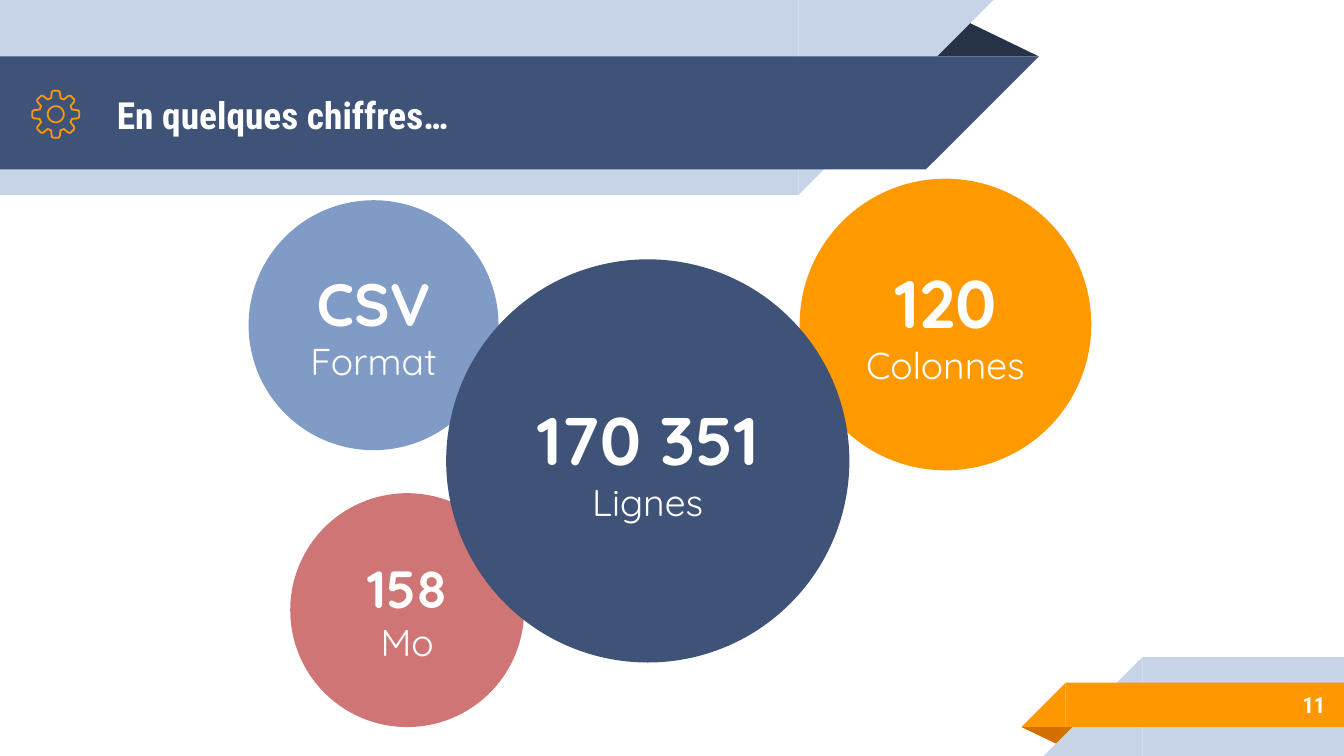
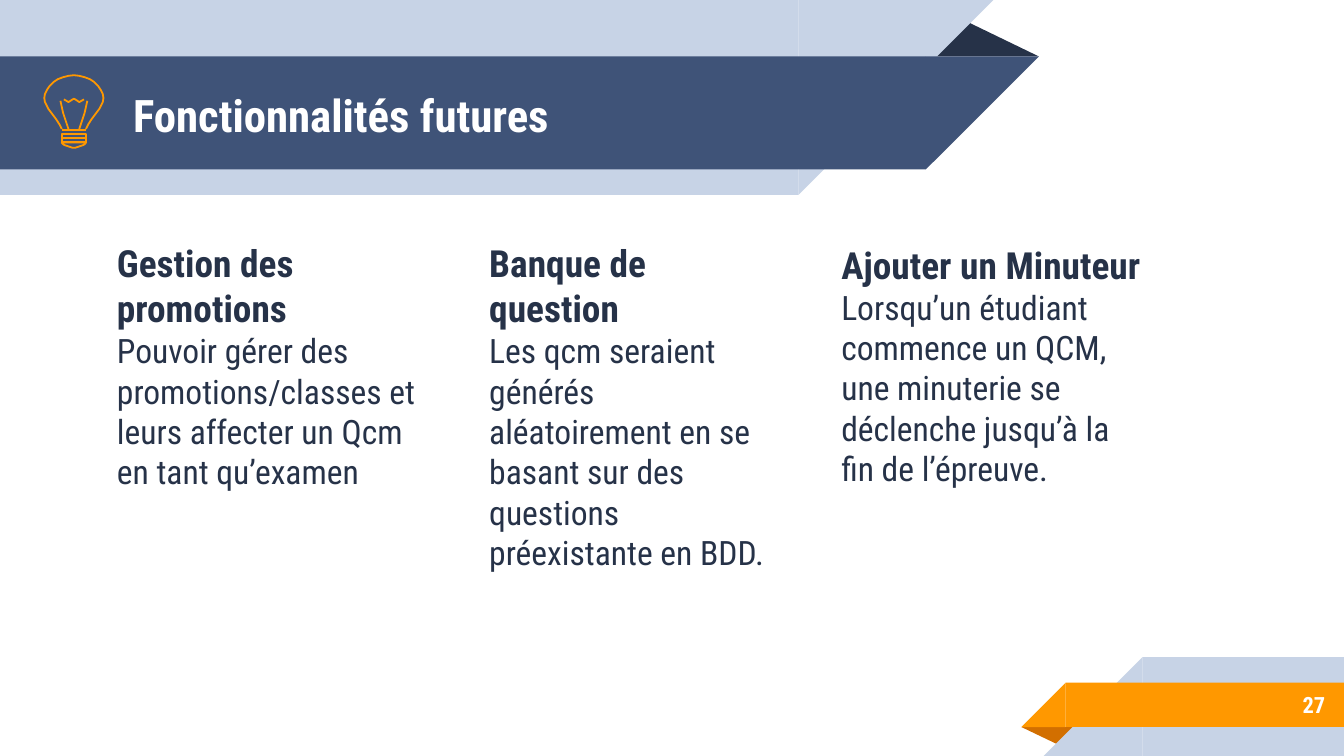
"""Build two slides that share ribbons, a title style and a page number."""
import dataclasses
import math
import typing

import lxml.etree
import pptx
import pptx.dml.color
import pptx.enum.shapes
import pptx.enum.text
import pptx.oxml.ns
import pptx.slide
import pptx.util

PX = 4572
COLORS = {
    "navy": "3F5378",
    "ink": "263248",
    "pale": "C7D3E6",
    "orange": "FF9800",
    "rust": "D26F00",
    "amber": "FF9900",
    "blue": "809BC6",
    "rose": "D07576",
    "white": "FFFFFF",
}
CONDENSED = "Roboto Condensed"
ROUNDED = "Quicksand"
SHAPE = pptx.enum.shapes.MSO_SHAPE
ALIGN = pptx.enum.text.PP_ALIGN
ANCHOR = pptx.enum.text.MSO_ANCHOR
qn = pptx.oxml.ns.qn

Point = tuple[float, float]


class Box(typing.NamedTuple):
    left: int
    top: int
    width: int
    height: int


class Line(typing.NamedTuple):
    text: str
    size: int
    bold: bool = True


@dataclasses.dataclass(frozen=True)
class Ribbon:
    box: Box
    color: str
    slants_right: bool


@dataclasses.dataclass(frozen=True)
class Fold:
    box: Box
    color: str
    rotation: int = 0


@dataclasses.dataclass(frozen=True)
class Figure:
    left: int
    top: int
    diameter: int
    color: str
    value: Line
    label: str


@dataclasses.dataclass(frozen=True)
class Feature:
    box: Box
    heading: str
    detail: str


DECOR = [
    Fold(Box(1376, 28, 170, 56), "ink"),
    Ribbon(Box(0, 0, 1188, 290), "pale", True),
    Ribbon(Box(0, 84, 1378, 168), "navy", True),
    Fold(Box(1520, 1082, 86, 28), "rust", 180),
    Ribbon(Box(1700, 978, 300, 147), "pale", False),
    Ribbon(Box(1586, 1016, 414, 66), "orange", False),
]
FIGURES = [
    Figure(1190, 266, 434, "amber", Line("120", 36), "Colonnes"),
    Figure(370, 298, 372, "blue", Line("CSV", 32), "Format"),
    Figure(432, 734, 348, "rose", Line("158", 28), "Mo"),
    Figure(664, 386, 600, "navy", Line("170 351", 36), "Lignes"),
]
FEATURES = [
    Feature(Box(154, 338, 504, 644), "Gestion des promotions",
            "Pouvoir gérer des promotions/classes et leurs affecter un Qcm "
            "en tant qu’examen"),
    Feature(Box(708, 338, 476, 592), "Banque de question",
            "Les qcm seraient générés aléatoirement en se basant sur des "
            "questions préexistante en BDD."),
    Feature(Box(1232, 340, 492, 592), "Ajouter un Minuteur",
            "Lorsqu’un étudiant commence un QCM, une minuterie se déclenche "
            "jusqu’à la fin de l’épreuve."),
]
GEAR_CENTER = (83, 170)
GEAR_TEETH = 8
GEAR_TOOTH = [(24, -7), (33, -6), (35, -4), (35, 4), (33, 6), (24, 7)]
HUB_RADIUS = 12
BULB_AXIS = 110
BULB_GLASS = [
    (110, 112), (118, 113), (126, 115), (134, 118), (140, 122), (146, 128),
    (150, 134), (153, 140), (154, 146), (153, 152), (148, 162), (142, 170),
    (136, 178), (131, 186), (128, 192),
]
BULB_COIL = [(110, 147), (112, 148), (118, 152), (125, 148)]
BULB_WIRE = [(130, 150), (126, 168), (118, 192)]
BULB_CAP = [(110, 220), (112, 220), (124, 216), (127, 214), (128, 212)]


def rgb(color: str) -> pptx.dml.color.RGBColor:
    return pptx.dml.color.RGBColor.from_string(COLORS[color])


def emu(box: Box) -> list[int]:
    return [length * PX for length in box]


def place(placeholder, box: Box) -> None:
    (placeholder.left, placeholder.top,
     placeholder.width, placeholder.height) = emu(box)


def write(frame, *lines: Line, font: str = CONDENSED, color: str = "white",
          align=ALIGN.LEFT, anchor=ANCHOR.MIDDLE) -> None:
    frame.word_wrap = True
    frame.auto_size = pptx.enum.text.MSO_AUTO_SIZE.NONE
    frame.vertical_anchor = anchor
    frame.margin_left = frame.margin_right = 20 * PX
    frame.margin_top = frame.margin_bottom = 20 * PX
    for index, line in enumerate(lines):
        paragraph = frame.add_paragraph() if index else frame.paragraphs[0]
        properties = paragraph._p.get_or_add_pPr()
        properties.set("marL", "0")
        properties.set("indent", "0")
        lxml.etree.SubElement(properties, qn("a:buNone"))
        paragraph.alignment = align
        paragraph.line_spacing = 1.0
        paragraph.space_before = paragraph.space_after = pptx.util.Pt(0)
        run = paragraph.add_run()
        run.text = line.text
        run.font.name = font
        run.font.size = pptx.util.Pt(line.size)
        run.font.bold = line.bold
        run.font.color.rgb = rgb(color)


def add_solid(slide: pptx.slide.Slide, preset, box: Box, color: str):
    solid = slide.shapes.add_shape(preset, *emu(box))
    solid.shadow.inherit = False
    solid.fill.solid()
    solid.fill.fore_color.rgb = rgb(color)
    solid.line.fill.background()
    return solid


def add_ribbon(slide: pptx.slide.Slide, ribbon: Ribbon) -> list:
    left, top, width, height = ribbon.box
    tip_left = left + width if ribbon.slants_right else left - height
    band = add_solid(slide, SHAPE.RECTANGLE, ribbon.box, ribbon.color)
    tip = add_solid(slide, SHAPE.RIGHT_TRIANGLE,
                    Box(tip_left, top, height, height), ribbon.color)
    tip.rotation = 180 if ribbon.slants_right else 0
    tip.element.spPr.find(qn("a:xfrm")).set("flipH", "1")
    return [band, tip]


def add_fold(slide: pptx.slide.Slide, fold: Fold) -> list:
    corner = add_solid(slide, SHAPE.ISOSCELES_TRIANGLE, fold.box, fold.color)
    corner.adjustments[0] = 0.32
    corner.rotation = fold.rotation
    return [corner]


def move_decor_to_master(slide: pptx.slide.Slide,
                         master: pptx.slide.SlideMaster) -> None:
    pieces = []
    for item in DECOR:
        draw = add_ribbon if isinstance(item, Ribbon) else add_fold
        pieces.extend(draw(slide, item))
    for index, piece in enumerate(pieces):
        piece.element.nvSpPr.cNvPr.set("id", str(100 + index))
        master.shapes.element.insert(2 + index, piece.element)


def stroke(outline) -> None:
    outline.line.color.rgb = rgb("orange")
    outline.line.width = pptx.util.Pt(0.96)


def add_outline(slide: pptx.slide.Slide, *contours: list[Point],
                close: bool = True) -> None:
    scaled = [[(x * PX, y * PX) for x, y in contour] for contour in contours]
    builder = slide.shapes.build_freeform(*scaled[0][0], scale=1.0)
    for index, contour in enumerate(scaled):
        if index:
            builder.move_to(*contour[0])
        builder.add_line_segments(contour[1:], close=close)
    outline = builder.convert_to_shape()
    outline.shadow.inherit = False
    outline.fill.background()
    stroke(outline)


def turned(point: Point, angle: float) -> Point:
    (x, y), (center_x, center_y) = point, GEAR_CENTER
    return (center_x + x * math.cos(angle) - y * math.sin(angle),
            center_y + x * math.sin(angle) + y * math.cos(angle))


def add_gear(slide: pptx.slide.Slide) -> None:
    rim = [turned(point, math.tau * tooth / GEAR_TEETH)
           for tooth in range(GEAR_TEETH) for point in GEAR_TOOTH]
    hub = [turned((HUB_RADIUS, 0), math.tau * step / 36) for step in range(36)]
    add_outline(slide, rim, hub)


def mirrored(half: list[Point]) -> list[Point]:
    return [(2 * BULB_AXIS - x, y) for x, y in reversed(half)]


def add_bulb(slide: pptx.slide.Slide) -> None:
    for top in (206, 200):
        add_outline(slide, [(92, top), (128, top),
                            (128, top + 6), (92, top + 6)])
    add_outline(slide, mirrored(BULB_CAP) + BULB_CAP[1:])
    for half in (BULB_GLASS, BULB_COIL):
        add_outline(slide, mirrored(half) + half[1:], close=False)
    for wire in (BULB_WIRE, mirrored(BULB_WIRE)):
        add_outline(slide, wire, close=False)
    neck = slide.shapes.add_connector(
        pptx.enum.shapes.MSO_CONNECTOR.STRAIGHT,
        92 * PX, 194 * PX, 128 * PX, 194 * PX)
    stroke(neck)
    lxml.etree.SubElement(neck.element.spPr, qn("a:effectLst"))


def add_heading(slide: pptx.slide.Slide, title: Line, box: Box,
                number: str) -> None:
    place(slide.shapes.title, box)
    write(slide.shapes.title.text_frame, title)
    page = slide.shapes.add_textbox(*emu(Box(1666, 1014, 326, 70)))
    write(page.text_frame, Line(number, 12), align=ALIGN.RIGHT)


def add_figure(slide: pptx.slide.Slide, figure: Figure) -> None:
    box = Box(figure.left, figure.top, figure.diameter, figure.diameter)
    circle = add_solid(slide, SHAPE.OVAL, box, figure.color)
    write(circle.text_frame, figure.value, Line(figure.label, 20, False),
          font=ROUNDED, align=ALIGN.CENTER)


def fill_features(slide: pptx.slide.Slide) -> None:
    bodies = list(slide.placeholders)[1:]
    for body, feature in zip(bodies, FEATURES):
        place(body, feature.box)
        write(body.text_frame, Line(feature.heading, 20),
              Line(feature.detail, 18, False), color="ink", anchor=ANCHOR.TOP)
    for spare in bodies[len(FEATURES):]:
        spare.element.getparent().remove(spare.element)


def main() -> None:
    deck = pptx.Presentation()
    deck.slide_width, deck.slide_height = 2000 * PX, 1125 * PX

    numbers = deck.slides.add_slide(
        deck.slide_layouts.get_by_name("Title Only"))
    move_decor_to_master(numbers, deck.slide_master)
    add_heading(numbers, Line("En quelques chiffres…", 20),
                Box(154, 86, 1252, 168), "11")
    add_gear(numbers)
    for figure in FIGURES:
        add_figure(numbers, figure)

    future = deck.slides.add_slide(
        deck.slide_layouts.get_by_name("Comparison"))
    add_heading(future, Line("Fonctionnalités futures", 24),
                Box(178, 86, 1150, 168), "27")
    fill_features(future)
    add_bulb(future)

    deck.save("out.pptx")


if __name__ == "__main__":
    main()
